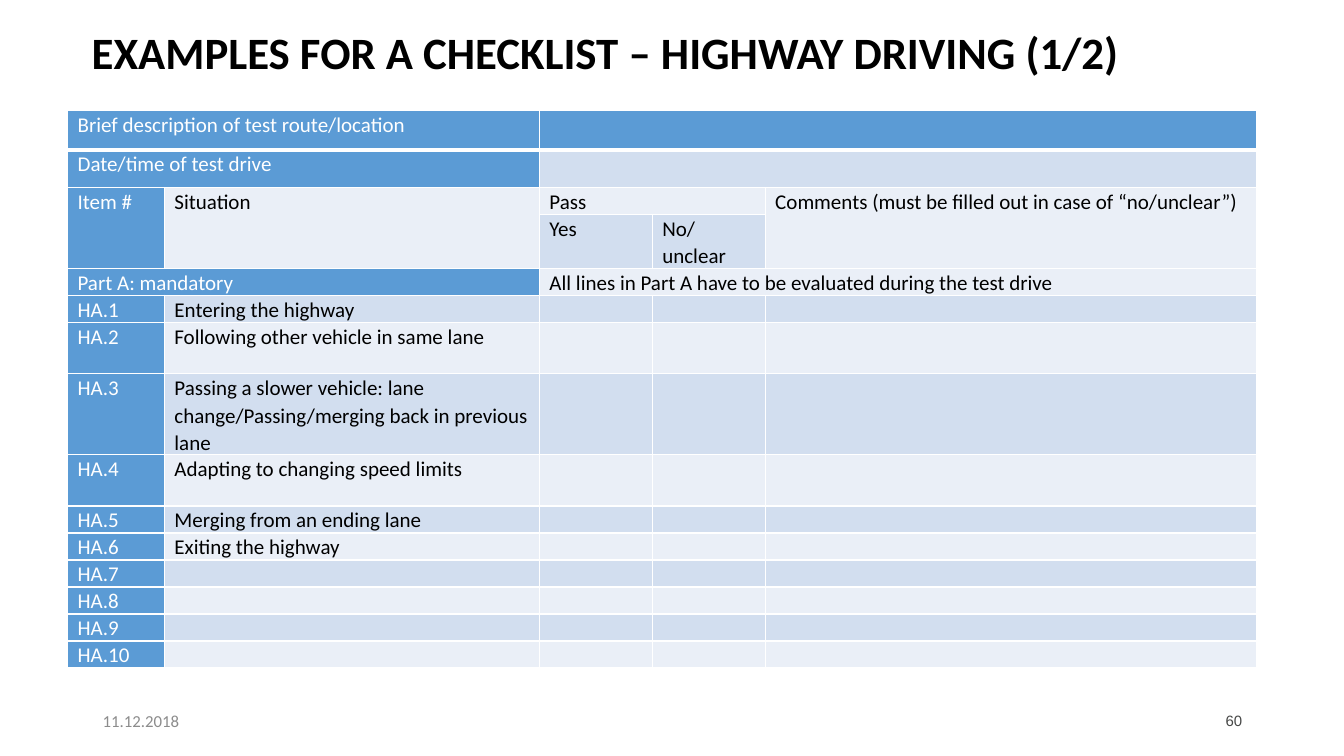
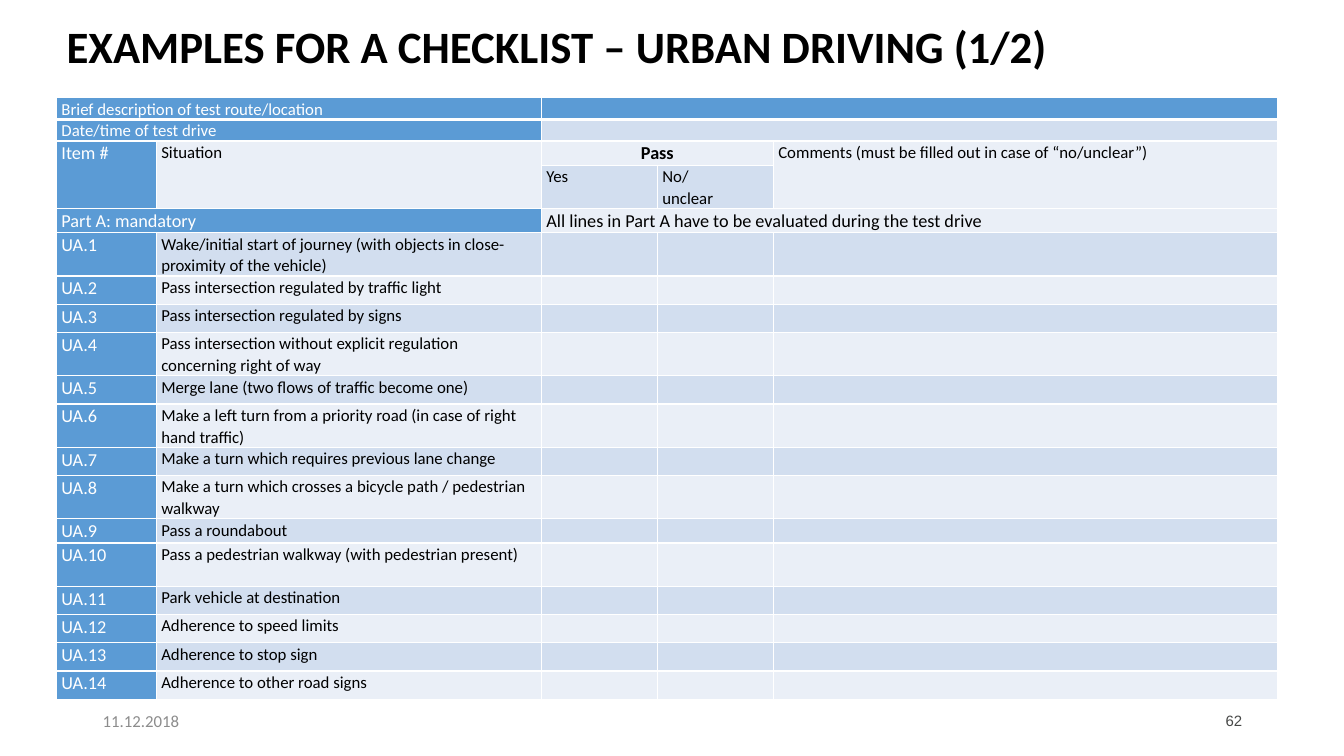
from lxml import etree
from pptx import Presentation, util as u
from pptx.dml.color import RGBColor
from pptx.enum import text
from pptx.oxml import ns

# Shared look
BLACK = RGBColor(0x00, 0x00, 0x00)
WHITE = RGBColor(0xFF, 0xFF, 0xFF)
BLUE = RGBColor(0x5B, 0x9B, 0xD5)
BANDS = (RGBColor(0xEA, 0xEF, 0xF7), RGBColor(0xD2, 0xDE, 0xEF))
GREY = RGBColor(0x8C, 0x8C, 0x8C)
DARK = RGBColor(0x47, 0x48, 0x47)
FONT = "Calibri"
LEFT, MID, RIGHT = text.PP_ALIGN.LEFT, text.PP_ALIGN.CENTER, text.PP_ALIGN.RIGHT
SCALE = 9144  # EMU per px, 100 px to the inch

# Merged areas: first row, first column, last row, last column
SPANS = ((0, 0, 0, 1), (0, 2, 0, 4), (1, 0, 1, 1), (1, 2, 1, 4), (2, 0, 3, 0),
         (2, 1, 3, 1), (2, 2, 2, 3), (2, 4, 3, 4), (4, 0, 4, 1), (4, 2, 4, 4))
HEAD = {
    (0, 0): "Brief description of test route/location",
    (1, 0): "Date/time of test drive",
    (2, 0): "Item #",
    (2, 1): "Situation",
    (2, 2): "Pass",
    (2, 4): "Comments (must be filled out in case of “no/unclear”)",
    (3, 2): "Yes",
    (3, 3): "No/\nunclear",
    (4, 0): "Part A: mandatory",
    (4, 2): "All lines in Part A have to be evaluated during the test drive",
}
LARGE = {(2, 0), (2, 2), (4, 0), (4, 2)}
FIRST = 5  # first item row

HIGHWAY = dict(
    title="EXAMPLES FOR A CHECKLIST – HIGHWAY DRIVING (1/2)",
    place=(81, 0, 1150, 109), number="60", code="HA", spot=(67, 110),
    cols=(96, 372, 112, 112, 487),
    rows=(39, 37, 26, 52, 26, 26, 51, 78, 51) + (26,) * 6,
    size=15, large=15, inset=10, strong=False,
    items=("Entering the highway", "Following other vehicle in same lane",
           "Passing a slower vehicle: lane change/Passing/merging back in previous lane",
           "Adapting to changing speed limits", "Merging from an ending lane",
           "Exiting the highway", "", "", "", ""))
URBAN = dict(
    title="EXAMPLES FOR A CHECKLIST – URBAN DRIVING (1/2)",
    place=(56, 22, 1150, 53), number="62", code="UA", spot=(56, 97),
    cols=(99, 382, 115, 115, 500),
    rows=(21, 21, 24, 43, 24, 43, 28, 28, 43, 28, 43, 28, 43, 24, 43) + (28,) * 4,
    size=12, large=13, inset=5, strong=True,
    items=("Wake/initial start of journey (with objects in close-proximity of the vehicle)",
           "Pass intersection regulated by traffic light",
           "Pass intersection regulated by signs",
           "Pass intersection without explicit regulation concerning right of way",
           "Merge lane (two flows of traffic become one)",
           "Make a left turn from a priority road (in case of right hand traffic)",
           "Make a turn which requires previous lane change",
           "Make a turn which crosses a bicycle path / pedestrian walkway",
           "Pass a roundabout",
           "Pass a pedestrian walkway (with pedestrian present)",
           "Park vehicle at destination", "Adherence to speed limits",
           "Adherence to stop sign", "Adherence to other road signs"))


def px(n):
    return u.Emu(n * SCALE)


def style(par, size, color, bold=False, align=LEFT, face=FONT, space=1.0):
    par.alignment, par.line_spacing = align, space
    font = par.font
    font.name, font.size, font.bold = face, u.Pt(size), bold
    font.color.rgb = color


def add_title(slide, words, box):
    title = slide.shapes.title
    title.left, title.top, title.width, title.height = map(px, box)
    frame = title.text_frame
    frame.text = words
    frame.word_wrap = True
    frame.auto_size = text.MSO_AUTO_SIZE.NONE
    frame.vertical_anchor = text.MSO_ANCHOR.MIDDLE
    style(frame.paragraphs[0], 32, BLACK, bold=True, space=0.9)


def add_foot(slide, words, left, **look):
    frame = slide.shapes.add_textbox(*map(px, (left, 695, 300, 40))).text_frame
    frame.text = words
    frame.word_wrap = True
    frame.vertical_anchor = text.MSO_ANCHOR.MIDDLE
    style(frame.paragraphs[0], **look)


def edge(cell, row):
    """White cell borders, wider below the first row."""
    props = cell._tc.get_or_add_tcPr()
    for i, side in enumerate(("L", "R", "T", "B")):
        wide = 3 if row == 0 and side == "B" else 1
        line = etree.Element(ns.qn("a:ln" + side), w=str(u.Pt(wide)))
        fill = etree.SubElement(line, ns.qn("a:solidFill"))
        etree.SubElement(fill, ns.qn("a:srgbClr"), val=str(WHITE))
        props.insert(i, line)


def add_list(slide, spec):
    """Checklist table: fixed head rows, then one row for each item."""
    cols, rows, size = spec["cols"], spec["rows"], spec["size"]
    box = (*spec["spot"], sum(cols), sum(rows))
    grid = slide.shapes.add_table(len(rows), len(cols), *map(px, box)).table
    grid.first_row = grid.horz_banding = False
    for col, wide in zip(grid.columns, cols):
        col.width = px(wide)
    for row, high in zip(grid.rows, rows):
        row.height = px(high)

    words = dict(HEAD)
    for i, item in enumerate(spec["items"]):
        words[FIRST + i, 0] = f"{spec['code']}.{i + 1}"
        words[FIRST + i, 1] = item

    for r in range(len(rows)):
        for c in range(len(cols)):
            cell = grid.cell(r, c)
            blue = c == 0 or r == 0
            cell.fill.solid()
            cell.fill.fore_color.rgb = BLUE if blue else BANDS[r % 2]
            cell.margin_left = cell.margin_right = px(spec["inset"])
            cell.margin_top = cell.margin_bottom = 0
            edge(cell, r)
            label = words.get((r, c), "")
            if not label:  # keeps empty cells from stretching the row
                par = cell.text_frame.paragraphs[0]._p
                etree.SubElement(par, ns.qn("a:endParaRPr"), sz=str(size * 100))
                continue
            cell.text_frame.text = label
            large = (r, c) in LARGE or (r >= FIRST and c == 0)
            strong = spec["strong"] and label == "Pass"
            for par in cell.text_frame.paragraphs:
                style(par, spec["large"] if large else size, WHITE if blue else BLACK,
                      bold=strong, align=MID if strong else LEFT, space=1.07)

    for top, left, low, right in SPANS:
        grid.cell(top, left).merge(grid.cell(low, right))


def add_page(deck, spec):
    slide = deck.slides.add_slide(deck.slide_layouts[5])
    add_title(slide, spec["title"], spec["place"])
    add_foot(slide, spec["number"], 942, size=10.7, color=DARK, align=RIGHT, face="Arial")
    add_foot(slide, "11.12.2018", 92, size=12, color=GREY)
    add_list(slide, spec)


def main():
    deck = Presentation()
    deck.slide_width, deck.slide_height = px(1333), px(750)
    for spec in (HIGHWAY, URBAN):
        add_page(deck, spec)
    deck.save("out.pptx")


if __name__ == "__main__":
    main()
